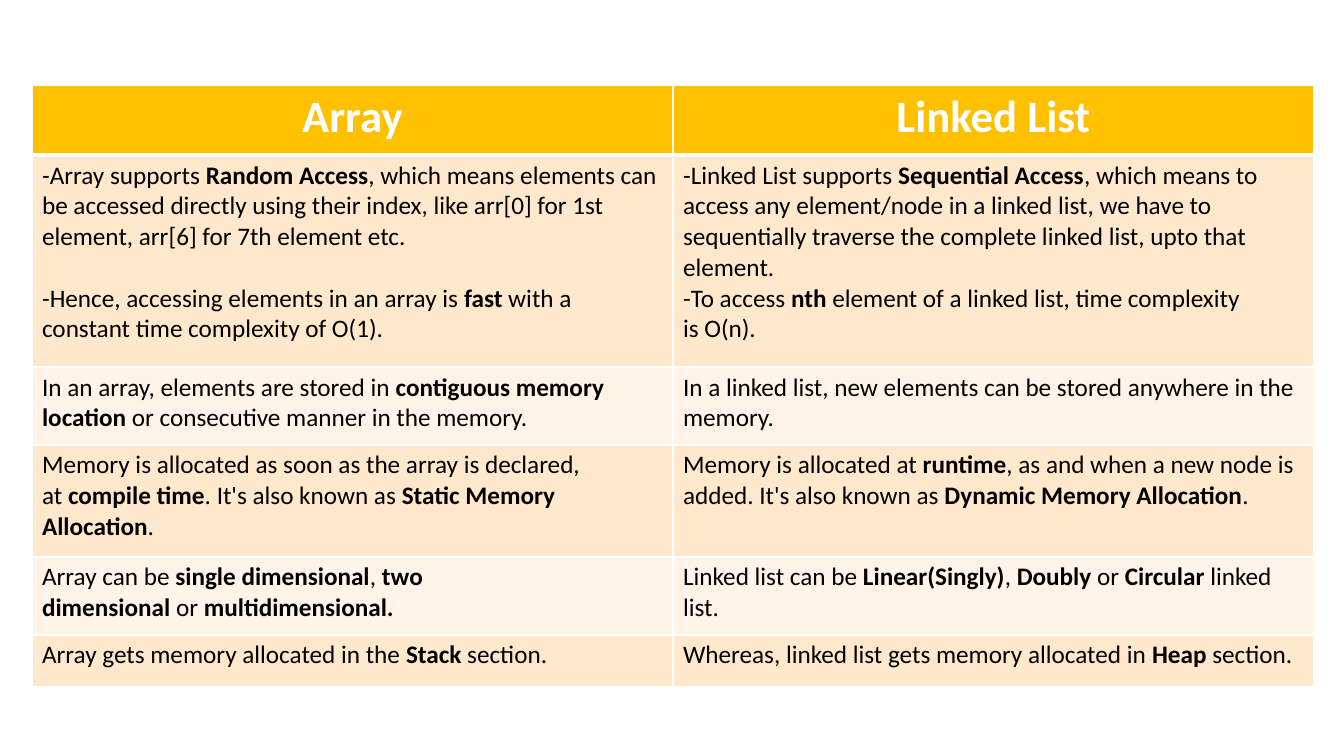
import dataclasses

import lxml.etree
import pptx
import pptx.dml.color
import pptx.enum.text
import pptx.oxml.ns
import pptx.util

EMU_PER_PX = 914400 / 100.8
NBSP = "\u00a0"


@dataclasses.dataclass(frozen=True)
class Theme:
    font: str = "Calibri"
    header_size: int = 32
    body_size: int = 18
    header_fill: str = "FFC000"
    bands: tuple = ("FFE8CC", "FFF4E7")
    white: str = "FFFFFF"
    black: str = "000000"
    rule: int = 1
    header_rule: int = 3
    paragraph_gaps: tuple = (22, 0)


THEME = Theme()
TABLE_LEFT, TABLE_TOP = 32, 85
COLUMN_WIDTHS = (641, 641)
ROW_HEIGHTS = (70, 212, 78, 112, 78, 52)

HEADERS = ("Array", "Linked List")
COMPARISONS = (
    (
        (
            "-Array supports~*Random Access*, which means elements can be accessed "
            "directly using their index, like~arr[0]~for 1st element,~arr[6]~for 7th "
            "element etc.",
            "-Hence, accessing elements in an array is~*fast*~with a constant time "
            "complexity of~O(1).",
        ),
        (
            "-Linked List supports~*Sequential Access*, which means to access any "
            "element/node in a linked list, we have to sequentially traverse the "
            "complete linked list, upto that element.",
            "-To access~*nth*~element of a linked list, time complexity is~O(n).",
        ),
    ),
    (
        ("In an array, elements are stored in~*contiguous memory location*~or "
         "consecutive manner in the memory.",),
        ("In a linked list, new elements can be stored anywhere in the memory.",),
    ),
    (
        ("Memory is allocated as soon as the array is declared, at~*compile time*. "
         "It's also known as~*Static Memory Allocation*.",),
        ("Memory is allocated at~*runtime*, as and when a new node is added. "
         "It's also known as~*Dynamic Memory Allocation*.",),
    ),
    (
        ("Array can be~*single dimensional*,~*two dimensional*~or~*multidimensional.*",),
        ("Linked list can be~*Linear(Singly)*,~*Doubly*~or~*Circular*~linked list.",),
    ),
    (
        ("Array gets memory allocated in the~*Stack*~section.",),
        ("Whereas, linked list gets memory allocated in~*Heap*~section.",),
    ),
)


def px(value):
    return pptx.util.Emu(round(value * EMU_PER_PX))


def rgb(value):
    return pptx.dml.color.RGBColor.from_string(value)


def set_attributes(target, values):
    for name, value in values.items():
        setattr(target, name, value)


def add_run(p, text, size, color, bold):
    r = p.add_run()
    r.text = text.replace("~", NBSP)
    set_attributes(r.font, {"name": THEME.font, "size": pptx.util.Pt(size), "bold": bold})
    r.font.color.rgb = rgb(color)


def set_borders(cell, widths):
    tc_pr = cell._tc.get_or_add_tcPr()
    qn = pptx.oxml.ns.qn
    for side, width in widths.items():
        line = lxml.etree.SubElement(tc_pr, qn(f"a:ln{side}"), w=str(pptx.util.Pt(width)))
        fill = lxml.etree.SubElement(line, qn("a:solidFill"))
        lxml.etree.SubElement(fill, qn("a:srgbClr"), val=THEME.white)


def style_cell(cell, fill, top, bottom):
    set_borders(cell, {"L": THEME.rule, "R": THEME.rule, "T": top, "B": bottom})
    cell.fill.solid()
    cell.fill.fore_color.rgb = rgb(fill)


def fill_header(cell, text):
    style_cell(cell, THEME.header_fill, THEME.rule, THEME.header_rule)
    p = cell.text_frame.paragraphs[0]
    p.alignment = pptx.enum.text.PP_ALIGN.CENTER
    add_run(p, text, THEME.header_size, THEME.white, True)


def fill_body(cell, paragraphs, row, gap):
    top = THEME.header_rule if row == 1 else THEME.rule
    style_cell(cell, THEME.bands[(row - 1) % 2], top, THEME.rule)
    tf = cell.text_frame
    for index, text in enumerate(paragraphs):
        p = tf.add_paragraph() if index else tf.paragraphs[0]
        if index and gap:
            p.space_before = pptx.util.Pt(gap)
        for part, words in enumerate(text.split("*")):
            if words:
                add_run(p, words, THEME.body_size, THEME.black, part % 2 == 1)


def add_comparison_table(s):
    frame = s.shapes.add_table(
        len(ROW_HEIGHTS), len(COLUMN_WIDTHS), px(TABLE_LEFT), px(TABLE_TOP),
        px(sum(COLUMN_WIDTHS)), px(sum(ROW_HEIGHTS)),
    )
    table = frame.table
    for column, width in zip(table.columns, COLUMN_WIDTHS):
        column.width = px(width)
    for row, height in zip(table.rows, ROW_HEIGHTS):
        row.height = px(height)
    for col, text in enumerate(HEADERS):
        fill_header(table.cell(0, col), text)
    for row, comparison in enumerate(COMPARISONS, start=1):
        for col, paragraphs in enumerate(comparison):
            fill_body(table.cell(row, col), paragraphs, row, THEME.paragraph_gaps[col])


def main():
    prs = pptx.Presentation()
    set_attributes(prs, {"slide_width": px(1344), "slide_height": px(756)})
    s = prs.slides.add_slide(prs.slide_layouts[6])
    s.background.fill.solid()
    s.background.fill.fore_color.rgb = rgb(THEME.white)
    add_comparison_table(s)
    prs.save("out.pptx")


main()
